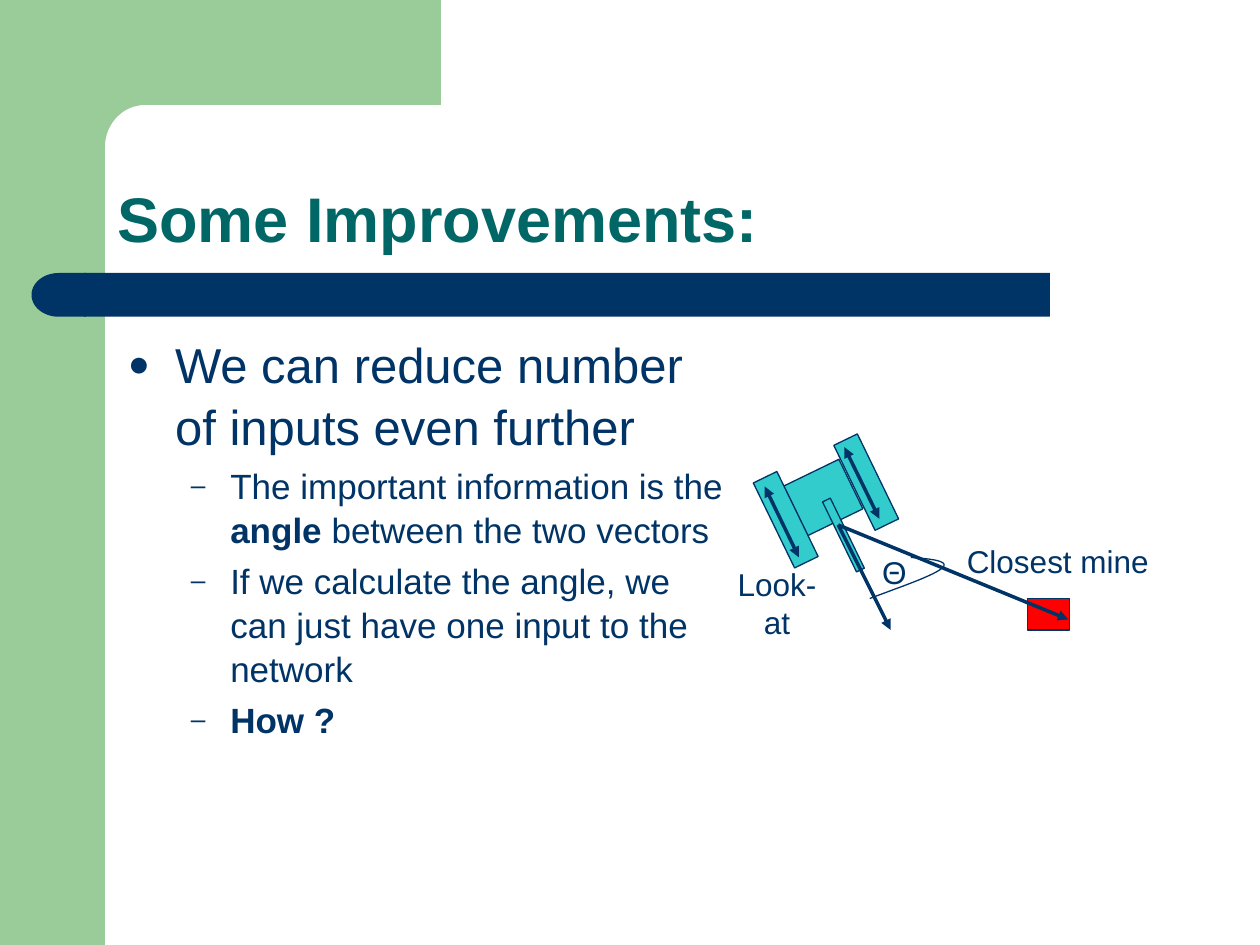
from lxml.etree import SubElement
from pptx import Presentation
from pptx.dml.color import RGBColor
from pptx.enum.shapes import MSO_CONNECTOR, MSO_SHAPE as Preset
from pptx.enum.text import MSO_ANCHOR as Anchor, MSO_AUTO_SIZE as AutoSize, PP_ALIGN as Align
from pptx.oxml.ns import qn
from pptx.util import Pt

NAVY, GREEN, TEAL, CYAN, RED = "003366", "99CC99", "006666", "33CCCC", "FF0000"
ROBOT_TILT = 334.1


def color(hex_value):
    return RGBColor.from_string(hex_value)


def style(shape, fill=None, line=None):
    shape.shadow.inherit = False
    if fill:
        shape.fill.solid()
        shape.fill.fore_color.rgb = color(fill)
    else:
        shape.fill.background()
    if line:
        shape.line.color.rgb = color(line)
        shape.line.width = Pt(0.75)
    else:
        shape.line.fill.background()


def add_block(shapes, preset, box, fill, line=None, rotation=0):
    block = shapes.add_shape(preset, *map(Pt, box))
    block.rotation = rotation
    style(block, fill, line)


def bezier(start, control1, control2, end, steps=16):
    """Points along a cubic curve, both ends included."""
    points = []
    for step in range(steps + 1):
        t = step / steps
        weights = ((1 - t) ** 3, 3 * t * (1 - t) ** 2, 3 * t * t * (1 - t), t ** 3)
        points.append(tuple(sum(w * p[axis] for w, p in zip(weights, (start, control1, control2, end)))
                            for axis in (0, 1)))
    return points


def add_outline(shapes, points, closed, fill=None, line=None):
    start, *rest = [(Pt(x), Pt(y)) for x, y in points]
    builder = shapes.build_freeform(*start)
    builder.add_line_segments(rest, close=closed)
    style(builder.convert_to_shape(), fill, line)


def add_arrow(shapes, start, end, both_ends=False):
    arrow = shapes.add_connector(MSO_CONNECTOR.STRAIGHT, *map(Pt, start + end))
    arrow.line.color.rgb = color(NAVY)
    arrow.line.width = Pt(2)
    line = arrow.line._get_or_add_ln()
    for tag in ("a:headEnd", "a:tailEnd") if both_ends else ("a:tailEnd",):
        SubElement(line, qn(tag), type="triangle")
    SubElement(arrow._element.spPr, qn("a:effectLst"))


def set_font(paragraph, size, hex_value, bold=None):
    font = paragraph.font
    font.name, font.size, font.bold = "Arial", Pt(size), bold
    font.color.rgb = color(hex_value)


def add_label(shapes, text, box):
    frame = shapes.add_textbox(*map(Pt, box)).text_frame
    frame.word_wrap = False
    frame.auto_size = AutoSize.SHAPE_TO_FIT_TEXT
    frame.vertical_anchor = Anchor.MIDDLE
    paragraph = frame.paragraphs[0]
    paragraph.text = text
    paragraph.alignment = Align.CENTER
    set_font(paragraph, 18, NAVY)


def add_bullet(paragraph, mark, margin, hanging):
    properties = paragraph._p.get_or_add_pPr()
    properties.set("marL", str(Pt(margin)))
    properties.set("indent", str(-Pt(hanging)))
    bullet_color = SubElement(properties, qn("a:buClr"))
    SubElement(bullet_color, qn("a:srgbClr"), val=NAVY)
    SubElement(properties, qn("a:buSzPct"), val="75000")
    SubElement(properties, qn("a:buFont"), typeface="Arial")
    SubElement(properties, qn("a:buChar"), char=mark)


def add_backdrop(shapes):
    add_block(shapes, Preset.RECTANGLE, (0, 0, 60, 540), GREEN)
    inner_corner = bezier((83, 60), (70, 60), (60, 71), (60, 84))
    add_outline(shapes, [(252, 0), (252, 60), *inner_corner, (60, 92), (36, 92), (36, 0)],
                closed=True, fill=GREEN)
    add_block(shapes, Preset.RECTANGLE, (48, 156, 552, 25), NAVY)
    add_block(shapes, Preset.FLOWCHART_DELAY, (18, 156, 31, 25), NAVY, rotation=180)


def add_title(shapes, text):
    frame = shapes.add_textbox(Pt(60), Pt(60), Pt(624), Pt(90)).text_frame
    frame.word_wrap = True
    frame.vertical_anchor = Anchor.BOTTOM
    paragraph = frame.paragraphs[0]
    paragraph.text = text
    paragraph.line_spacing = 0.9
    set_font(paragraph, 36, TEAL, bold=True)


def add_body(shapes):
    points = [
        (0, [("We can reduce number of inputs even further", False)]),
        (1, [("The important information is the ", False), ("angle", True),
             (" between the two vectors", False)]),
        (1, [("If we calculate the angle, we can just have one input to the network", False)]),
        (1, [("How ?", True)]),
    ]
    levels = [("●", 27, 27, 28), ("–", 58.5, 22.5, 20)]
    frame = shapes.add_textbox(Pt(66), Pt(186), Pt(356), Pt(337)).text_frame
    frame.word_wrap = True
    for index, (level, pieces) in enumerate(points):
        paragraph = frame.add_paragraph() if index else frame.paragraphs[0]
        mark, margin, hanging, size = levels[level]
        paragraph.level = level
        paragraph.line_spacing = 1.05
        if index:
            paragraph.space_before = Pt(0.2 * size)
        add_bullet(paragraph, mark, margin, hanging)
        set_font(paragraph, size, NAVY)
        for text, bold in pieces:
            run = paragraph.add_run()
            run.text = text
            if bold:
                run.font.bold = True


def add_robot_diagram(shapes):
    body, right_track = (453, 268.5, 35, 31.5), (487.5, 248.5, 15, 54)
    gun, left_track = (479.5, 283.5, 5, 44.5), (441.5, 270, 15, 54)
    for part in (body, right_track, gun, left_track):
        add_block(shapes, Preset.RECTANGLE, part, CYAN, NAVY, ROBOT_TILT)
    add_arrow(shapes, (482.5, 255.5), (502.5, 296.5), both_ends=True)
    add_arrow(shapes, (437, 278), (456.5, 318.5), both_ends=True)

    add_block(shapes, Preset.RECTANGLE, (587, 342, 24, 18), RED, NAVY)
    muzzle = (479, 300)
    for target in ((610.5, 354), (509, 360)):
        add_arrow(shapes, muzzle, target)

    add_label(shapes, "Closest mine", (545, 306, 119, 29))
    add_label(shapes, "Look-at", (407, 330, 74, 29))
    angle_arc = (bezier((497, 342), (515.5, 335), (535, 328.5), (539, 324))
                 + bezier((539, 324), (543, 319.5), (524, 319), (520.5, 318.5))[1:])
    add_outline(shapes, angle_arc, closed=False, line=NAVY)
    add_label(shapes, "Θ", (497, 312, 28, 29))


def main():
    presentation = Presentation()
    presentation.slide_width, presentation.slide_height = Pt(720), Pt(540)
    shapes = presentation.slides.add_slide(presentation.slide_layouts[6]).shapes
    add_backdrop(shapes)
    add_title(shapes, "Some Improvements:")
    add_body(shapes)
    add_robot_diagram(shapes.add_group_shape().shapes)
    presentation.save("out.pptx")


if __name__ == "__main__":
    main()
